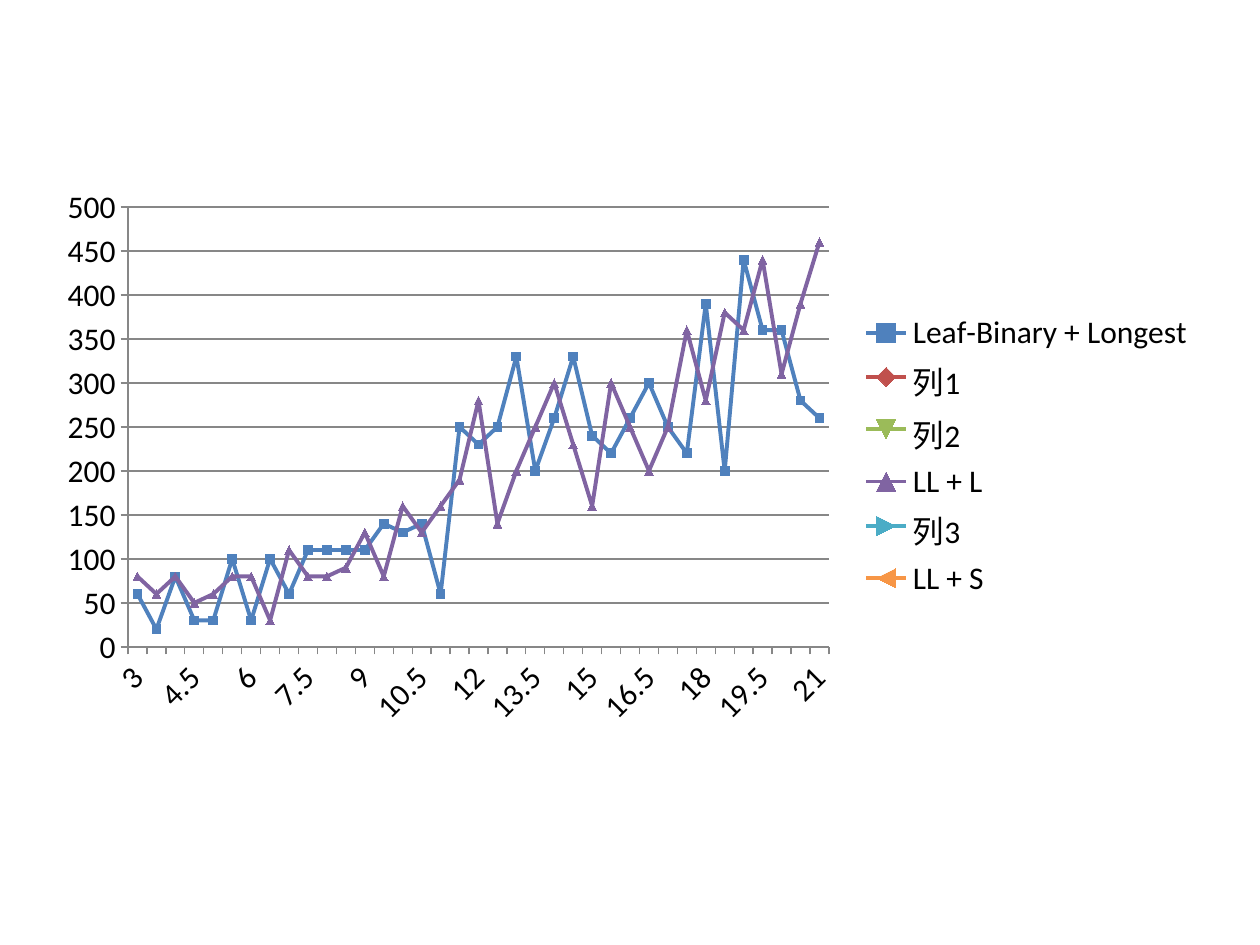
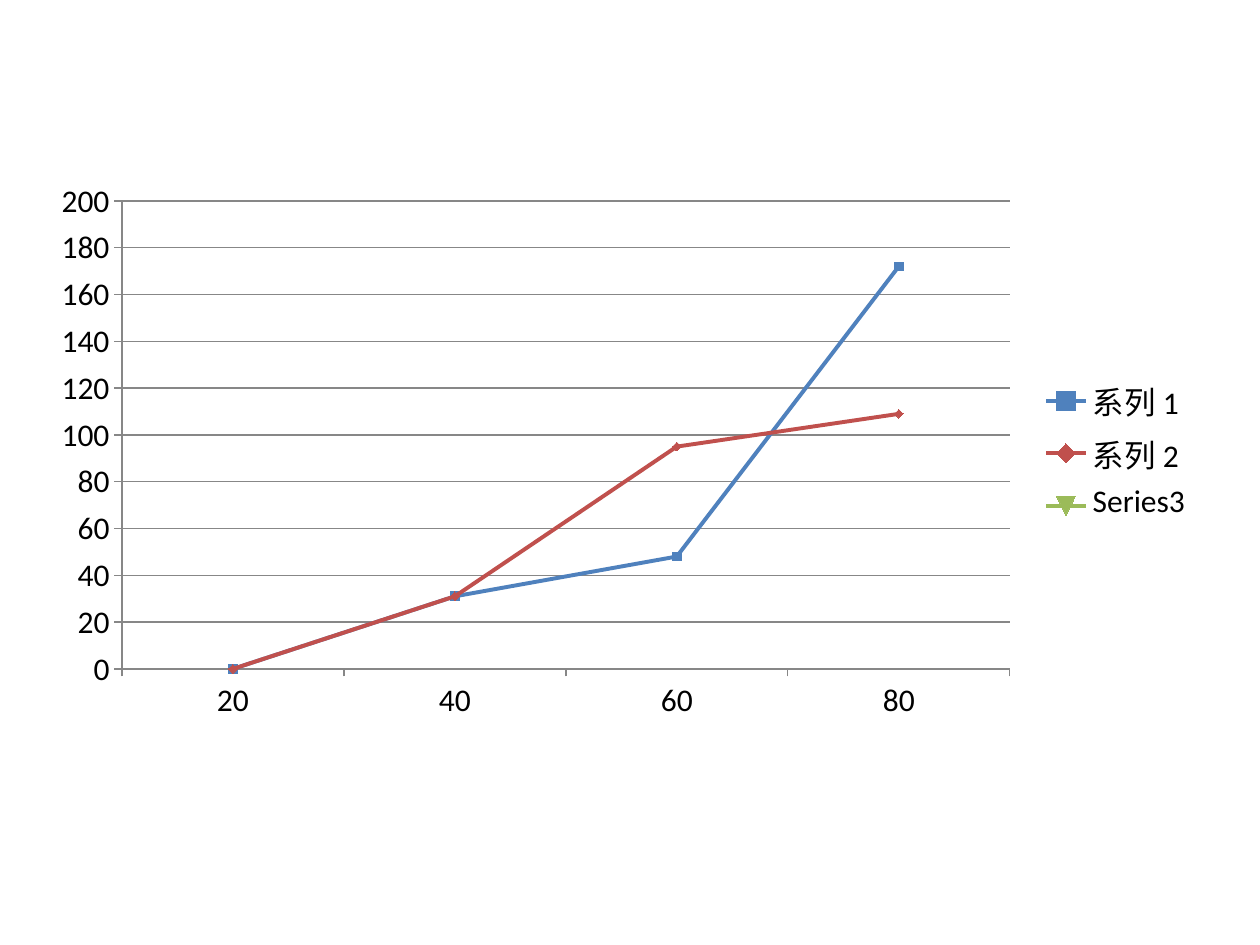
from dataclasses import dataclass

from lxml import etree
from pptx import Presentation
from pptx.chart.data import CategoryChartData as ChartData
from pptx.dml.color import RGBColor as Rgb
from pptx.enum.chart import XL_CHART_TYPE as Kind
from pptx.enum.chart import XL_LEGEND_POSITION as Side
from pptx.enum.chart import XL_TICK_MARK as Tick
from pptx.oxml.ns import qn
from pptx.util import Emu, Pt


@dataclass(frozen=True)
class Theme:
    font: str = "Calibri"
    size: int = 18
    text: str = "000000"
    rule: str = "878787"
    thin: float = 0.75
    bold: float = 2.25
    mark: int = 5
    hues: tuple = ("4F81BD", "C0504D", "9BBB59", "8064A2", "4BACC6", "F79646")


THEME = Theme()
BLANK = 6

LEAF = (60, 20, 80, 30, 30, 100, 30, 100, 60, 110, 110, 110, 110, 140, 130,
        140, 60, 250, 230, 250, 330, 200, 260, 330, 240, 220, 260, 300,
        250, 220, 390, 200, 440, 360, 360, 280, 260)
LONG = (80, 60, 80, 50, 60, 80, 80, 30, 110, 80, 80, 90, 130, 80, 160,
        130, 160, 190, 280, 140, 200, 250, 300, 230, 160, 300, 250, 200,
        250, 360, 280, 380, 360, 440, 310, 390, 460)
STEPS = [f"{half / 2:g}" for half in range(6, 43)]
TRIALS = {"Leaf-Binary + Longest": LEAF, "列1": (), "列2": (),
          "LL + L": LONG, "列3": (), "LL + S": ()}

LOADS = ["20", "40", "60", "80"]
RUNS = {"系列 1": (0, 31, 48, 172), "系列 2": (0, 31, 95, 109), "Series3": ()}


def px(count):
    return Emu(round(count * 914400 / 126))


def draw(line, color, width):
    line.color.rgb = Rgb.from_string(color)
    line.width = Pt(width)


def fill_data(cats, rows):
    """Give each series one value per category; an empty one stays blank."""
    data = ChartData()
    data.categories = cats
    for name, vals in rows.items():
        data.add_series(name, vals or [None] * len(cats))
    return data


def set_plot(chart, box, plot):
    """Fix the inner plot area, given in px from the corner of the box."""
    area = chart._chartSpace.find(".//" + qn("c:plotArea"))
    layout = area.find(qn("c:layout"))
    if layout is None:
        layout = etree.Element(qn("c:layout"))
        area.insert(0, layout)
    manual = etree.SubElement(layout, qn("c:manualLayout"))
    wide, high = box[2:]
    parts = [("layoutTarget", "inner"), ("xMode", "edge"), ("yMode", "edge")]
    parts += [(key, f"{size / full:.4f}") for key, size, full
              in zip("xywh", plot, (wide, high, wide, high))]
    for tag, val in parts:
        etree.SubElement(manual, qn("c:" + tag)).set("val", val)


def style_axes(chart, top, step):
    for axis in (chart.category_axis, chart.value_axis):
        axis.major_tick_mark = Tick.OUTSIDE
        axis.minor_tick_mark = Tick.NONE
        draw(axis.format.line, THEME.rule, THEME.thin)
    axis = chart.value_axis
    axis.minimum_scale, axis.maximum_scale, axis.major_unit = 0, top, step
    axis.has_major_gridlines = True
    draw(axis.major_gridlines.format.line, THEME.rule, THEME.thin)


def style_lines(plot):
    plot.vary_by_categories = False
    for row, hue in zip(plot.series, THEME.hues):
        row.smooth = False
        draw(row.format.line, hue, THEME.bold)
        row.marker.size = THEME.mark
        look = row.marker.format
        look.fill.solid()
        look.fill.fore_color.rgb = Rgb.from_string(hue)
        draw(look.line, hue, THEME.thin)


def line_slide(deck, box, plot, cats, rows, top, step):
    slide = deck.slides.add_slide(deck.slide_layouts[BLANK])
    chart = slide.shapes.add_chart(
        Kind.LINE_MARKERS, *map(px, box), fill_data(cats, rows)).chart
    chart.has_title = False
    chart.font.name = THEME.font
    chart.font.size = Pt(THEME.size)
    chart.font.color.rgb = Rgb.from_string(THEME.text)
    chart.has_legend = True
    chart.legend.position = Side.RIGHT
    chart.legend.include_in_layout = False
    set_plot(chart, box, plot)
    style_axes(chart, top, step)
    style_lines(chart.plots[0])


def main():
    deck = Presentation()
    deck.slide_width, deck.slide_height = px(1260), px(945)
    line_slide(deck, (44, 176, 1164, 559), (84, 31, 701, 440),
               STEPS, TRIALS, 500, 50)
    line_slide(deck, (39, 170, 1167, 559), (83, 31, 888, 468),
               LOADS, RUNS, 200, 20)
    deck.save("out.pptx")


if __name__ == "__main__":
    main()
